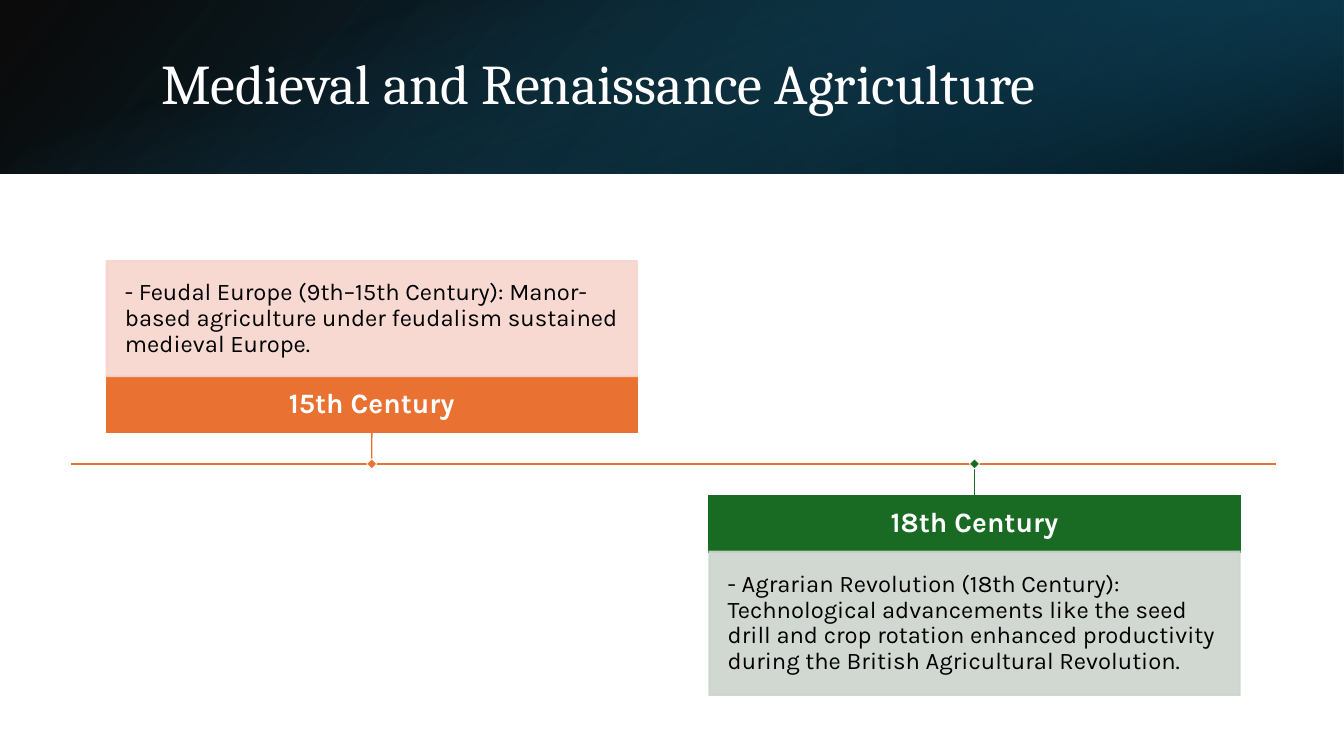
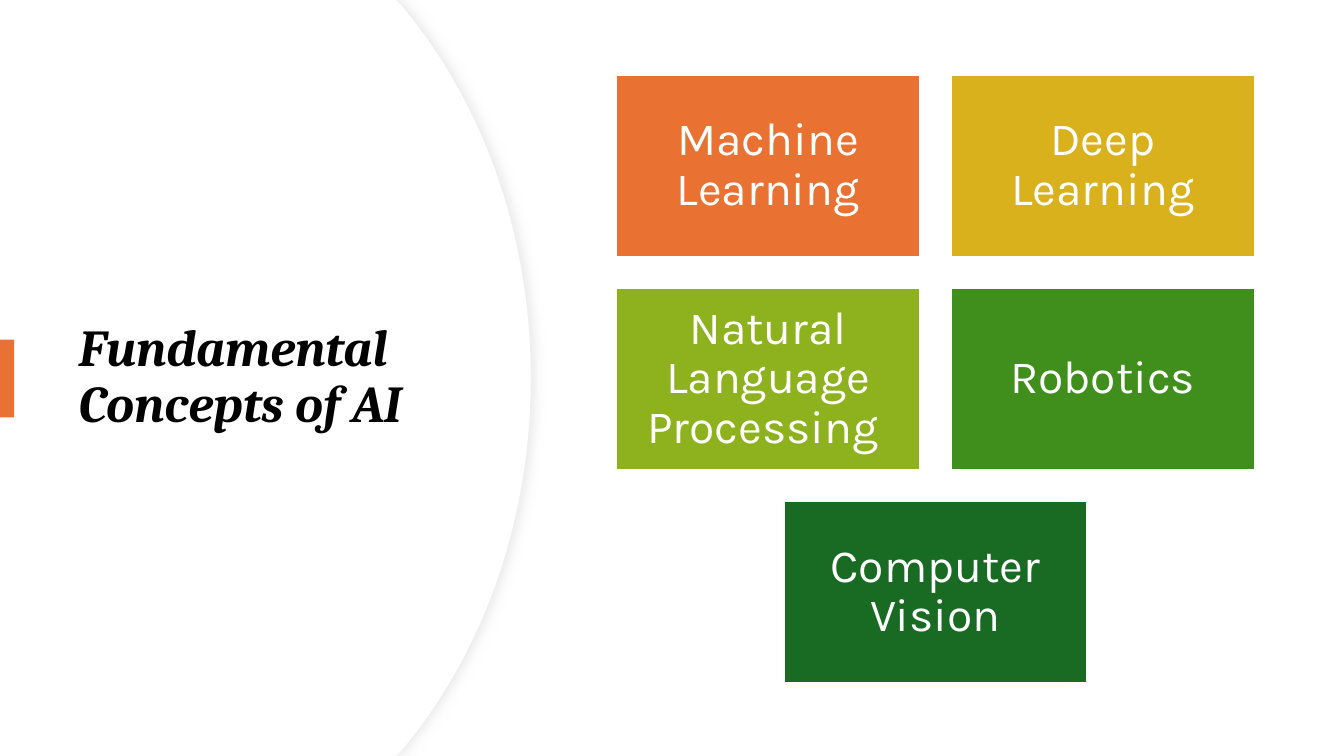
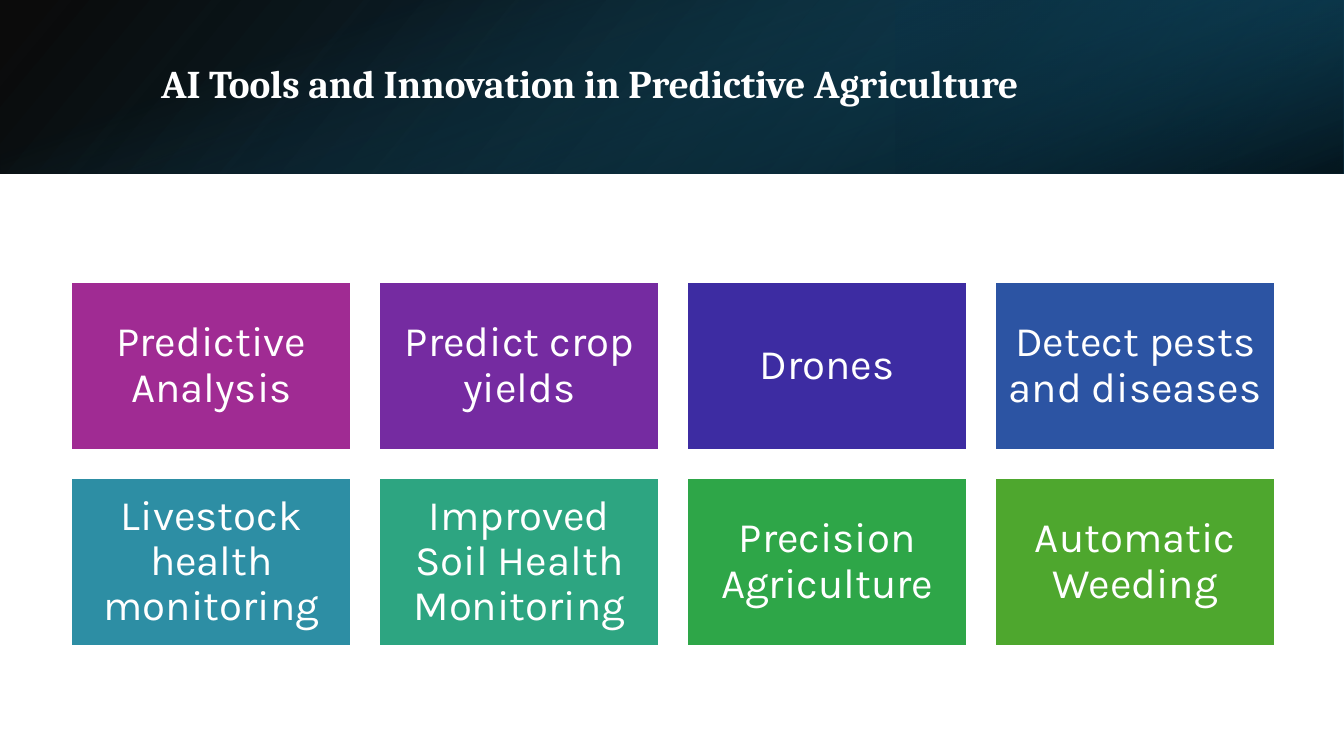
"""Build three slides on farming history and artificial intelligence."""
from dataclasses import dataclass

from lxml import etree
from pptx import Presentation
from pptx import util as u
from pptx.dml.color import RGBColor
from pptx.enum import shapes, text
from pptx.oxml.ns import qn


@dataclass(frozen=True)
class Theme:
    """Colours, fonts and type sizes shared by the slides."""
    white: str = "FFFFFF"
    black: str = "000000"
    orange: str = "E97132"
    green: str = "196B24"
    pink: str = "F7D5CE"
    sage: str = "CCD4CD"
    edge: str = "EFEFEF"
    shade: str = "D9D9D9"
    title_font: str = "Cambria"
    body_font: str = "Karla"
    title_size: int = 40
    side_title_size: int = 37
    small_title_size: int = 28
    label_size: int = 20
    body_size: int = 17
    line_spacing: float = 0.9


THEME = Theme()
WIDTH, HEIGHT = 33.87, 19.05
BAND_HEIGHT = 4.37
BAND_TITLE_BOX = (3.81, 0.95, 27.89, 2.44)
SIDE_TITLE_BOX = (1.73, 3.23, 10.01, 12.57)
ACCENT_BOX = (0, 8.56, 0.36, 1.96)

BAND_LAYERS = [
    dict(box=(0, 0, WIDTH, BAND_HEIGHT), turn=0, flip=True, angle=140,
         stops=[(0, "000000", 96), (100, "104862", 100)]),
    dict(box=(WIDTH * 2 / 3, 0, WIDTH / 3, BAND_HEIGHT), turn=180, flip=True, angle=320,
         stops=[(19, "0B3041", 68), (100, "156082", 79)]),
    dict(box=((WIDTH - BAND_HEIGHT) / 2, (BAND_HEIGHT - WIDTH) / 2, BAND_HEIGHT, WIDTH),
         turn=90, flip=False, angle=340,
         stops=[(23, "156082", 0), (99, "000000", 74)]),
]

TIMELINE_TITLE = "Medieval and Renaissance Agriculture"
AXIS = dict(left=1.78, right=32.16, y=11.69)
CARD_WIDTH, LABEL_HEIGHT, STEM, MARKER = 13.36, 1.41, 0.8, 0.18
EVENTS = [
    dict(label="15th Century", left=2.69, height=2.9, above=True,
         color=THEME.orange, tint=THEME.pink,
         body="- Feudal Europe (9th–15th Century): Manor-based agriculture under "
              "feudalism sustained medieval Europe."),
    dict(label="18th Century", left=17.88, height=3.61, above=False,
         color=THEME.green, tint=THEME.sage,
         body="- Agrarian Revolution (18th Century): Technological advancements like "
              "the seed drill and crop rotation enhanced productivity during the "
              "British Agricultural Revolution."),
]

CONCEPTS_TITLE = "Fundamental Concepts of AI"
CONCEPTS = [
    ("Machine Learning", THEME.orange), ("Deep Learning", "D8B11D"),
    ("Natural Language Processing ", "8EB21E"), ("Robotics", "408E1C"),
    ("Computer Vision", THEME.green),
]
CONCEPT_GRID = dict(columns=2, left=15.53, top=1.88, width=7.66, height=4.6,
                    gap=0.77, inset=0.36, size=33)

TOOLS_TITLE = "AI Tools and Innovation in Predictive Agriculture"
TOOLS = [
    ("Predictive Analysis", "A02B93"), ("Predict crop yields", "752BA1"),
    ("Drones", "3D2CA2"), ("Detect pests and diseases", "2C54A3"),
    ("Livestock health monitoring", "2D8EA4"),
    ("Improved Soil Health Monitoring", "2DA581"),
    ("Precision Agriculture", "2EA648"), ("Automatic Weeding", "4EA72E"),
]
TOOL_GRID = dict(columns=4, left=1.8, top=7.1, width=7.06, height=4.24,
                 gap=0.7, inset=0.3, size=30)

PANEL_UPPER = [(10.01, 0), (10.19, 0.2), (12.17, 2.59), (13.39, 5.89)]
PANEL_TIP = (13.39, HEIGHT / 2)
PANEL_CURVES = [(2, 5), (5, 8)]


def rgb(color):
    """Return a colour object for a hex value."""
    return RGBColor.from_string(color)


def cm(values):
    """Turn plain numbers into lengths."""
    return [u.Cm(value) for value in values]


def set_alpha(element, percent):
    """Set the opacity of every colour inside an element."""
    for color in element.iter(qn("a:srgbClr")):
        etree.SubElement(color, qn("a:alpha"), val=str(percent * 1000))


def paint(shape, fill, line=None, weight=1.5):
    """Give a shape a flat fill and an optional sharp-cornered outline."""
    shape.shadow.inherit = False
    shape.fill.solid()
    shape.fill.fore_color.rgb = rgb(fill)
    if line:
        shape.line.color.rgb = rgb(line)
        shape.line.width = u.Pt(weight)
        outline = shape.element.spPr.find(qn("a:ln"))
        etree.SubElement(outline, qn("a:miter"), lim="800000")
    else:
        shape.line.fill.background()


def add_rectangle(slide, box, fill, line=None, weight=1.5):
    """Add a flat rectangle."""
    shape = slide.shapes.add_shape(shapes.MSO_SHAPE.RECTANGLE, *cm(box))
    paint(shape, fill, line, weight)
    return shape


def write(shape, words, size, color, font=THEME.body_font, bold=False, italic=False,
          centred=True, inset=None):
    """Write one vertically centred paragraph into a shape."""
    frame = shape.text_frame
    frame.text = words
    frame.word_wrap = True
    frame.vertical_anchor = text.MSO_ANCHOR.MIDDLE
    if inset is not None:
        frame.margin_left = frame.margin_right = u.Cm(inset)
        frame.margin_top = frame.margin_bottom = u.Cm(inset)
    paragraph = frame.paragraphs[0]
    paragraph.alignment = text.PP_ALIGN.CENTER if centred else text.PP_ALIGN.LEFT
    paragraph.line_spacing = THEME.line_spacing
    style = paragraph.runs[0].font
    style.name, style.size = font, u.Pt(size)
    style.bold, style.italic = bold, italic
    style.color.rgb = rgb(color)


def add_title(slide, words, box, size, color, bold=False, italic=False):
    """Add a slide title."""
    write(slide.shapes.add_textbox(*cm(box)), words, size, color, THEME.title_font,
          bold, italic, centred=False)


def add_band(slide):
    """Add the layered gradient band along the top."""
    for layer in BAND_LAYERS:
        shape = add_rectangle(slide, layer["box"], THEME.black)
        shape.rotation = layer["turn"]
        if layer["flip"]:
            shape.element.spPr.xfrm.set("flipH", "1")
        shape.fill.gradient()
        shape.fill.gradient_angle = 360 - layer["angle"]
        stops = shape.fill.gradient_stops
        for stop, (position, color, _) in zip(stops, layer["stops"]):
            stop.position = position / 100
            stop.color.rgb = rgb(color)
        marks = shape.element.spPr.iter(qn("a:gs"))
        for mark, (_, _, opacity) in zip(marks, layer["stops"]):
            set_alpha(mark, opacity)


def add_line(slide, start, end, color, weight):
    """Add a straight connector without a shadow."""
    line = slide.shapes.add_connector(shapes.MSO_CONNECTOR.STRAIGHT, *cm(start + end))
    line.line.color.rgb = rgb(color)
    line.line.width = u.Pt(weight)
    etree.SubElement(line.element.spPr, qn("a:effectLst"))
    return line


def add_event(slide, event):
    """Add a dated card, its stem and its marker on the axis."""
    left, height, axis = event["left"], event["height"], AXIS["y"]
    if event["above"]:
        label_top = axis - STEM - LABEL_HEIGHT
        body_top, stem_top, side = label_top - height, axis - STEM, 2
    else:
        label_top = stem_top = axis + STEM
        body_top, side = label_top + LABEL_HEIGHT, 0
    label = add_rectangle(slide, (left, label_top, CARD_WIDTH, LABEL_HEIGHT),
                          event["color"], event["color"])
    write(label, event["label"], THEME.label_size, THEME.white, bold=True, inset=0.28)
    body = add_rectangle(slide, (left, body_top, CARD_WIDTH, height),
                         event["tint"], event["tint"])
    set_alpha(body.element.spPr, 90)
    write(body, event["body"], THEME.body_size, THEME.black, centred=False, inset=0.46)
    middle = left + CARD_WIDTH / 2
    stem = add_line(slide, (middle, stem_top), (middle, axis), event["color"], 1)
    stem.begin_connect(label, side)
    marker = add_rectangle(slide, (middle - MARKER / 2, axis - MARKER / 2, MARKER, MARKER),
                           event["color"], THEME.white, 0.5)
    marker.rotation = 45


def add_tiles(slide, tiles, grid):
    """Lay out coloured tiles in rows, centring a short last row."""
    columns, width, height, gap = (grid[key] for key in ("columns", "width", "height", "gap"))
    for index, (words, color) in enumerate(tiles):
        row, column = divmod(index, columns)
        missing = columns - min(columns, len(tiles) - row * columns)
        left = grid["left"] + (column + missing / 2) * (width + gap)
        top = grid["top"] + row * (height + gap)
        tile = add_rectangle(slide, (left, top, width, height), color, THEME.white)
        write(tile, words, grid["size"], THEME.white, inset=grid["inset"])


def add_panel(slide, shift=0, line=None):
    """Add the white side panel with its curved right edge."""
    lower = [(x, HEIGHT - y) for x, y in reversed(PANEL_UPPER)]
    edge = [(x - shift, y) for x, y in PANEL_UPPER + [PANEL_TIP] + lower]
    builder = slide.shapes.build_freeform(0, 0)
    builder.add_line_segments([cm(point) for point in edge + [(0, HEIGHT)]])
    panel = builder.convert_to_shape()
    segments = list(panel.element.spPr.iter(qn("a:lnTo")))
    for first, last in PANEL_CURVES:
        curve = etree.Element(qn("a:cubicBezTo"))
        segments[first].addprevious(curve)
        for segment in segments[first:last]:
            curve.append(segment[0])
            segment.getparent().remove(segment)
    paint(panel, THEME.white, line, 0.75)
    return panel


def add_side_shadow(shape):
    """Cast a soft shadow to the right of a shape."""
    effects = shape.element.spPr.find(qn("a:effectLst"))
    shadow = etree.SubElement(effects, qn("a:outerShdw"), blurRad=str(u.Pt(7)),
                              dist=str(u.Pt(3)), dir="0", algn="l", rotWithShape="0")
    etree.SubElement(shadow, qn("a:srgbClr"), val=THEME.shade)
    set_alpha(shadow, 50)


def build_timeline(slide):
    """Build the timeline slide."""
    add_band(slide)
    add_title(slide, TIMELINE_TITLE, BAND_TITLE_BOX, THEME.title_size, THEME.white)
    add_line(slide, (AXIS["left"], AXIS["y"]), (AXIS["right"], AXIS["y"]), THEME.orange, 1.5)
    for event in EVENTS:
        add_event(slide, event)


def build_concepts(slide):
    """Build the concepts slide."""
    add_side_shadow(add_panel(slide, line=THEME.edge))
    add_panel(slide, shift=0.03)
    add_title(slide, CONCEPTS_TITLE, SIDE_TITLE_BOX, THEME.side_title_size, THEME.black,
              bold=True, italic=True)
    add_rectangle(slide, ACCENT_BOX, THEME.orange)
    add_tiles(slide, CONCEPTS, CONCEPT_GRID)


def build_tools(slide):
    """Build the tools slide."""
    add_band(slide)
    add_title(slide, TOOLS_TITLE, BAND_TITLE_BOX, THEME.small_title_size, THEME.white,
              bold=True)
    add_tiles(slide, TOOLS, TOOL_GRID)


def main():
    """Build and save the presentation."""
    presentation = Presentation()
    presentation.slide_width, presentation.slide_height = cm((WIDTH, HEIGHT))
    blank = presentation.slide_layouts[6]
    for build in (build_timeline, build_concepts, build_tools):
        build(presentation.slides.add_slide(blank))
    presentation.save("out.pptx")


if __name__ == "__main__":
    main()
